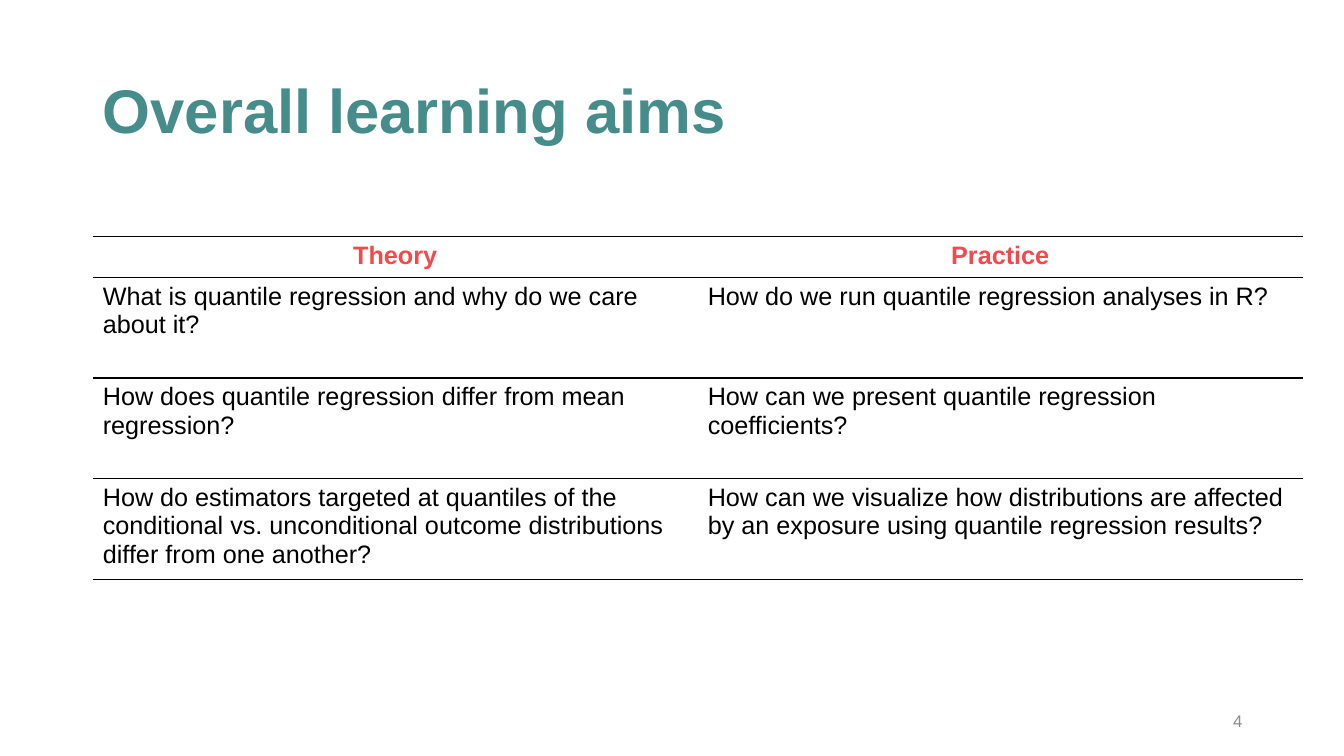
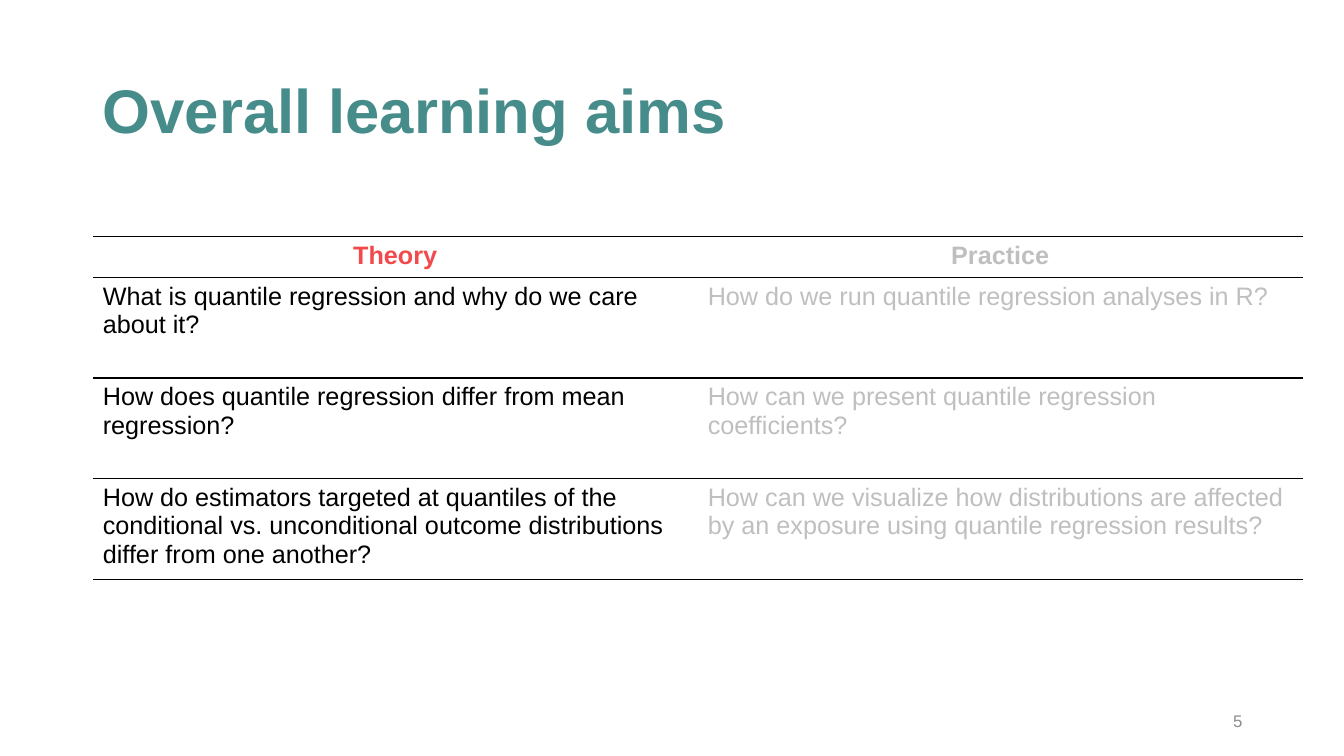
from dataclasses import dataclass

from lxml import etree
from pptx import Presentation
from pptx import util as u
from pptx.dml.color import RGBColor
from pptx.enum import text
from pptx.oxml import ns

TEAL = RGBColor(0x46, 0x8C, 0x8A)
RED = RGBColor(0xF2, 0x49, 0x4C)
BLACK = RGBColor(0, 0, 0)
GREY = RGBColor(0x8C, 0x8C, 0x8C)
DIMMED = RGBColor(0xBF, 0xBF, 0xBF)

FONT = "Arial"
LEFT = 0.92
TITLE_ONLY = 5
NO_STYLE_NO_GRID = "{2D5ABB26-0587-4C30-8999-92F81FD0307C}"
COLUMN_WIDTH = 6
ROW_HEIGHTS = (0.4, 1, 1, 1)
RULED_EDGES = (0, 1, 2, 4)  # row boundaries that carry a line, from the top


@dataclass(frozen=True)
class Column:
    heading: str
    questions: tuple[str, ...]


@dataclass(frozen=True)
class AimsPage:
    number: int
    dimmed_headings: tuple[str, ...] = ()


COLUMNS = (
    Column("Theory", (
        "What is quantile regression and why do we care about it?",
        "How does quantile regression differ from mean regression?",
        "How do estimators targeted at quantiles of the conditional vs. "
        "unconditional outcome distributions differ from one another?",
    )),
    Column("Practice", (
        "How do we run quantile regression analyses in R?",
        "How can we present quantile regression coefficients?",
        "How can we visualize how distributions are affected by an exposure "
        "using quantile regression results?",
    )),
)
PAGES = (AimsPage(4), AimsPage(5, dimmed_headings=("Practice",)))


def write(frame, words: str, *, size: float, color: RGBColor, bold: bool = False,
          align=text.PP_ALIGN.LEFT, spacing: float = 1.0) -> None:
    para = frame.paragraphs[0]
    para.alignment = align
    para.line_spacing = spacing
    span = para.add_run()
    span.text = words
    span.font.name = FONT
    span.font.size = u.Pt(size)
    span.font.bold = bold
    span.font.color.rgb = color


def place(shape, left: float, top: float, width: float, height: float) -> None:
    shape.left, shape.top = u.Inches(left), u.Inches(top)
    shape.width, shape.height = u.Inches(width), u.Inches(height)


def add_title(page, words: str) -> None:
    title = page.shapes.title
    place(title, LEFT, 0.4, 11.5, 1.45)
    frame = title.text_frame
    frame.auto_size = text.MSO_AUTO_SIZE.NONE
    frame.vertical_anchor = text.MSO_ANCHOR.MIDDLE
    write(frame, words, size=44, color=TEAL, bold=True, spacing=0.9)


def add_page_number(page, number: int) -> None:
    box = page.shapes.add_textbox(
        u.Inches(9.42), u.Inches(6.95), u.Inches(3), u.Inches(0.4))
    frame = box.text_frame
    frame.word_wrap = True
    frame.vertical_anchor = text.MSO_ANCHOR.MIDDLE
    write(frame, str(number), size=12, color=GREY, align=text.PP_ALIGN.RIGHT)


def rule_cell(cell, row: int) -> None:
    """Draw the cell's top and bottom lines where its row edges are ruled."""
    properties = cell._tc.get_or_add_tcPr()
    edges = [tag for tag, edge in (("a:lnT", row), ("a:lnB", row + 1))
             if edge in RULED_EDGES]
    for position, tag in enumerate(edges):  # lines come before the cell fill
        line = etree.Element(ns.qn(tag), w=str(u.Pt(1)))
        fill = etree.SubElement(line, ns.qn("a:solidFill"))
        etree.SubElement(fill, ns.qn("a:srgbClr"), val=str(BLACK))
        properties.insert(position, line)


def add_aims_table(page, dimmed_headings: tuple[str, ...]) -> None:
    table = page.shapes.add_table(
        len(ROW_HEIGHTS), len(COLUMNS), u.Inches(LEFT), u.Inches(2.35),
        u.Inches(COLUMN_WIDTH * len(COLUMNS)), u.Inches(sum(ROW_HEIGHTS))).table
    table.first_row = table.horz_banding = False
    table._tbl.tblPr.find(ns.qn("a:tableStyleId")).text = NO_STYLE_NO_GRID
    for row, height in zip(table.rows, ROW_HEIGHTS):
        row.height = u.Inches(height)

    for index, column in enumerate(COLUMNS):
        table.columns[index].width = u.Inches(COLUMN_WIDTH)
        dimmed = column.heading in dimmed_headings
        for row, words in enumerate((column.heading, *column.questions)):
            cell = table.cell(row, index)
            cell.fill.background()
            rule_cell(cell, row)
            heading = row == 0
            write(cell.text_frame, words, size=18, bold=heading,
                  color=DIMMED if dimmed else RED if heading else BLACK,
                  align=text.PP_ALIGN.CENTER if heading else text.PP_ALIGN.LEFT)


def main() -> None:
    deck = Presentation()
    deck.slide_width, deck.slide_height = u.Inches(13.33), u.Inches(7.5)
    for aims in PAGES:
        page = deck.slides.add_slide(deck.slide_layouts[TITLE_ONLY])
        add_title(page, "Overall learning aims")
        add_page_number(page, aims.number)
        add_aims_table(page, aims.dimmed_headings)
    deck.save("out.pptx")


if __name__ == "__main__":
    main()
